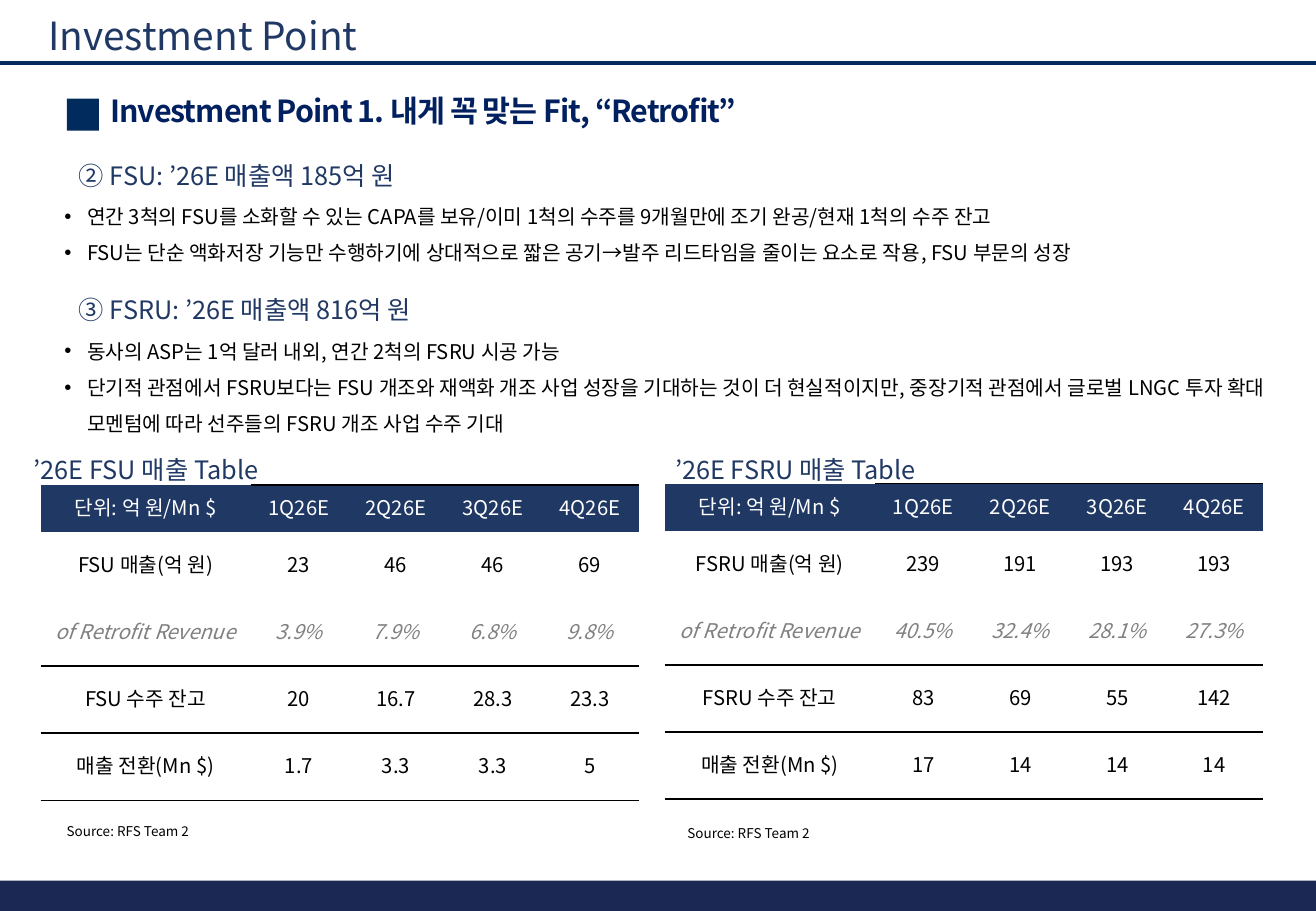
from lxml import etree
from pptx import Presentation
from pptx.dml.color import RGBColor
from pptx.enum.shapes import MSO_CONNECTOR as CONN, MSO_SHAPE as SHAPE
from pptx.enum.text import MSO_ANCHOR as ANCHOR, MSO_AUTO_SIZE as AUTO, PP_ALIGN as ALIGN
from pptx.oxml.ns import qn
from pptx.util import Pt

FONT = "Noto Sans CJK KR"
NO_GRID_STYLE = "{2D5ABB26-0587-4C30-8999-92F81FD0307C}"
BLACK = RGBColor(0x00, 0x00, 0x00)
WHITE = RGBColor(0xFF, 0xFF, 0xFF)
GRAY = RGBColor(0x80, 0x80, 0x80)
NAVY = RGBColor(0x20, 0x38, 0x64)
HEADLINE = RGBColor(0x00, 0x20, 0x60)
ACCENT = RGBColor(0x00, 0x2B, 0x5C)
FOOTER = RGBColor(0x1B, 0x28, 0x53)


def add_run(p, text, size, color):
    r = p.add_run()
    r.text = text
    r.font.size = Pt(size)
    r.font.name = FONT
    r.font.color.rgb = color
    etree.SubElement(r._r.get_or_add_rPr(), qn("a:ea"), typeface=FONT)
    return r


def add_text(x, y, w, h, lines, size, color, bullets=False):
    tf = s.shapes.add_textbox(Pt(x), Pt(y), Pt(w), Pt(h)).text_frame
    tf.word_wrap = True
    tf.auto_size = AUTO.SHAPE_TO_FIT_TEXT
    for i, line in enumerate(lines):
        p = tf.add_paragraph() if i else tf.paragraphs[0]
        if bullets:
            pPr = p._p.get_or_add_pPr()
            pPr.set("marL", str(Pt(13.5)))
            pPr.set("indent", str(-Pt(13.5)))
            etree.SubElement(pPr, qn("a:buFont"), typeface="Arial")
            etree.SubElement(pPr, qn("a:buChar"), char="•")
            p.line_spacing = 1.5
        add_run(p, line, size, color)
    return tf.paragraphs[0]


prs = Presentation()
prs.slide_width, prs.slide_height = Pt(780), Pt(540)
s = prs.slides.add_slide(prs.slide_layouts[6])

# Footer bar and headline marker
for x, y, w, h, color in [(0, 522, 780, 18, FOOTER), (39.6, 58.5, 19, 19, ACCENT)]:
    sp = s.shapes.add_shape(SHAPE.RECTANGLE, Pt(x), Pt(y), Pt(w), Pt(h))
    sp.shadow.inherit = False
    sp.fill.solid()
    sp.fill.fore_color.rgb = color
    sp.line.fill.background()

# Title and rule below it
rule = s.shapes.add_connector(CONN.STRAIGHT, Pt(0), Pt(37.4), Pt(780), Pt(37.4))
rule.line.color.rgb = ACCENT
rule.line.width = Pt(2.25)
etree.SubElement(rule._element.spPr, qn("a:effectLst"))
add_text(21.6, 3.6, 458.6, 35.3, ["Investment Point"], 23, NAVY)

# Headline
p = add_text(58.3, 55.4, 455, 26, ["Investment Point 1. 내게 꼭 맞는 Fit, “Retrofit”"], 18, HEADLINE)
p.line_spacing = 0.8
p.space_after = Pt(8)
p.runs[0].font.bold = True
p.runs[0].font._element.set("spc", "-60")

# Sections: heading with bullets
sections = [
    (91.4, 110.2, 49, "② FSU: ’26E 매출액 185억 원", [
        "연간 3척의 FSU를 소화할 수 있는 CAPA를 보유/이미 1척의 수주를 9개월만에 조기 완공/현재 1척의 수주 잔고",
        "FSU는 단순 액화저장 기능만 수행하기에 상대적으로 짧은 공기→발주 리드타임을 줄이는 요소로 작용, FSU 부문의 성장",
    ]),
    (170.6, 190.1, 70.6, "③ FSRU: ’26E 매출액 816억 원", [
        "동사의 ASP는 1억 달러 내외, 연간 2척의 FSRU 시공 가능",
        "단기적 관점에서 FSRU보다는 FSU 개조와 재액화 개조 사업 성장을 기대하는 것이 더 현실적이지만, "
        "중장기적 관점에서 글로벌 LNGC 투자 확대 모멘텀에 따라 선주들의 FSRU 개조 사업 수주 기대",
    ]),
]
for head_y, body_y, body_h, heading, bullets in sections:
    add_text(39.6, head_y, 708.5, 25.2, [heading], 15, NAVY)
    add_text(31, body_y, 730.8, body_h, bullets, 12, BLACK, bullets=True)

# Revenue tables: name, table x and y, caption x, source x and y, figures
tables = [
    ("FSU", 24, 287.4, 13, 32.4, 484.6, [
        ["23", "46", "46", "69"],
        ["3.9%", "7.9%", "6.8%", "9.8%"],
        ["20", "16.7", "28.3", "23.3"],
        ["1.7", "3.3", "3.3", "5"],
    ]),
    ("FSRU", 394, 286.6, 393.1, 400.3, 485.3, [
        ["239", "191", "193", "193"],
        ["40.5%", "32.4%", "28.1%", "27.3%"],
        ["83", "69", "55", "142"],
        ["17", "14", "14", "14"],
    ]),
]
COL_WIDTHS = [124.5] + [57.5] * 4
ROW_HEIGHTS = [28] + [39.75] * 4
QUARTERS = ["1Q26E", "2Q26E", "3Q26E", "4Q26E"]
ROW_COLORS = [WHITE, BLACK, GRAY, BLACK, BLACK]
BORDERS = {0: "a:lnT", 2: "a:lnB", 3: "a:lnT", 4: "a:lnB"}

for name, x, y, caption_x, source_x, source_y, figures in tables:
    labels = ["단위: 억 원/Mn $", f"{name} 매출(억 원)", "of Retrofit Revenue",
              f"{name} 수주 잔고", "매출 전환(Mn $)"]
    frame = s.shapes.add_table(5, 5, Pt(x), Pt(y), Pt(sum(COL_WIDTHS)), Pt(sum(ROW_HEIGHTS)))
    table = frame.table
    table.first_row = table.horz_banding = False
    table._tbl.tblPr.find(qn("a:tableStyleId")).text = NO_GRID_STYLE
    for col, width in zip(table.columns, COL_WIDTHS):
        col.width = Pt(width)
    for i, (label, values) in enumerate(zip(labels, [QUARTERS] + figures)):
        table.rows[i].height = Pt(ROW_HEIGHTS[i])
        for j, text in enumerate([label] + values):
            cell = table.cell(i, j)
            cell.vertical_anchor = ANCHOR.MIDDLE
            cell.margin_left = cell.margin_right = Pt(5)
            cell.margin_top = cell.margin_bottom = 0
            # The header's label cell has no top border
            if i in BORDERS and (i, j) != (0, 0):
                ln = etree.SubElement(cell._tc.get_or_add_tcPr(), qn(BORDERS[i]), w=str(Pt(1)))
                fill = etree.SubElement(ln, qn("a:solidFill"))
                etree.SubElement(fill, qn("a:srgbClr"), val=str(BLACK))
            cell.fill.solid()
            cell.fill.fore_color.rgb = WHITE if i else NAVY
            p = cell.text_frame.paragraphs[0]
            p.alignment = ALIGN.CENTER
            p.line_spacing = 0.8
            p.space_after = Pt(8)
            r = add_run(p, text, 12, ROW_COLORS[i])
            if i == 2:
                r.font.italic = True
    add_text(caption_x, 265.7, 354.5, 25.2, [f"’26E {name} 매출 Table"], 15, NAVY)
    add_text(source_x, source_y, 330, 17.3, ["Source: RFS Team 2"], 8, BLACK)

prs.save("out.pptx")
